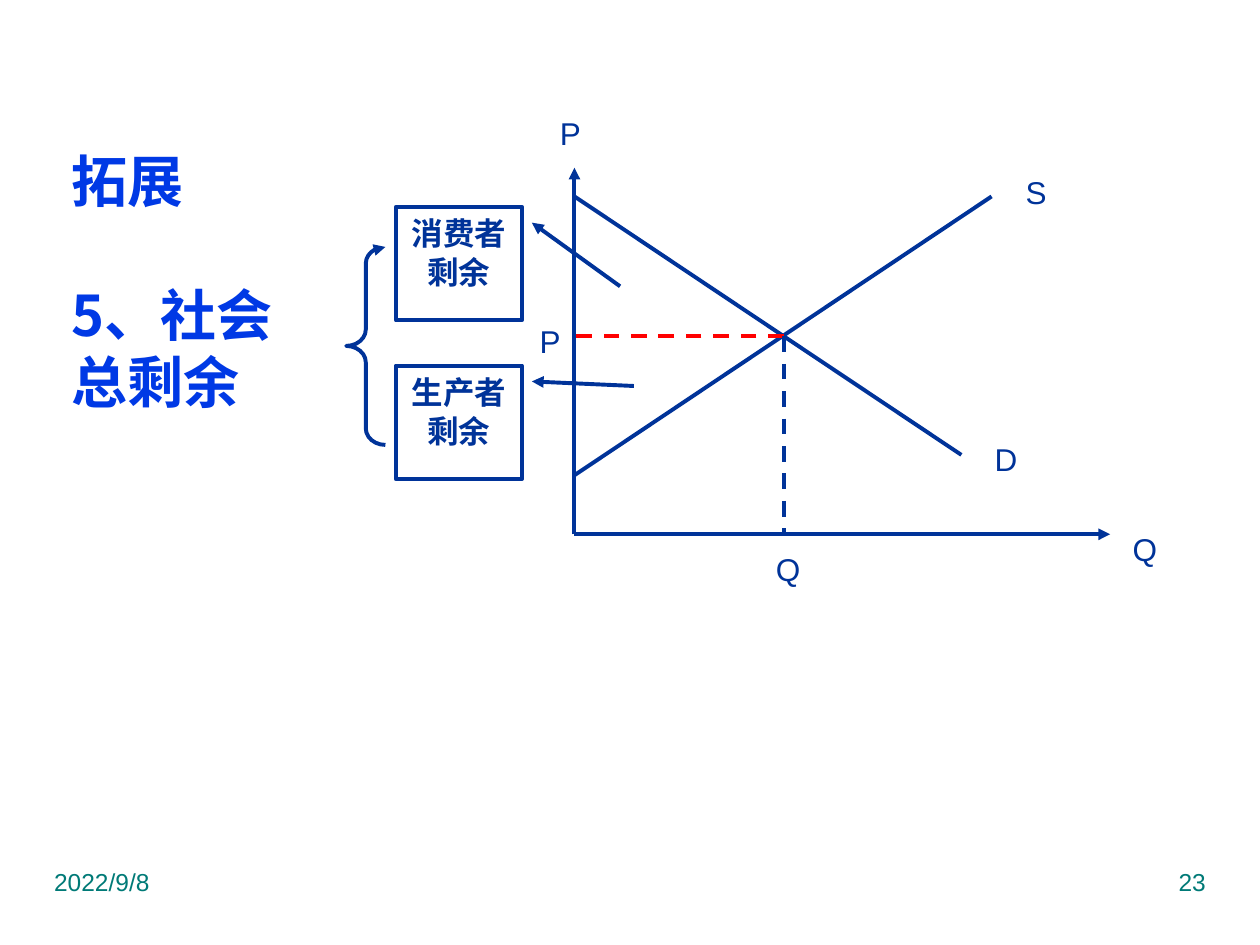
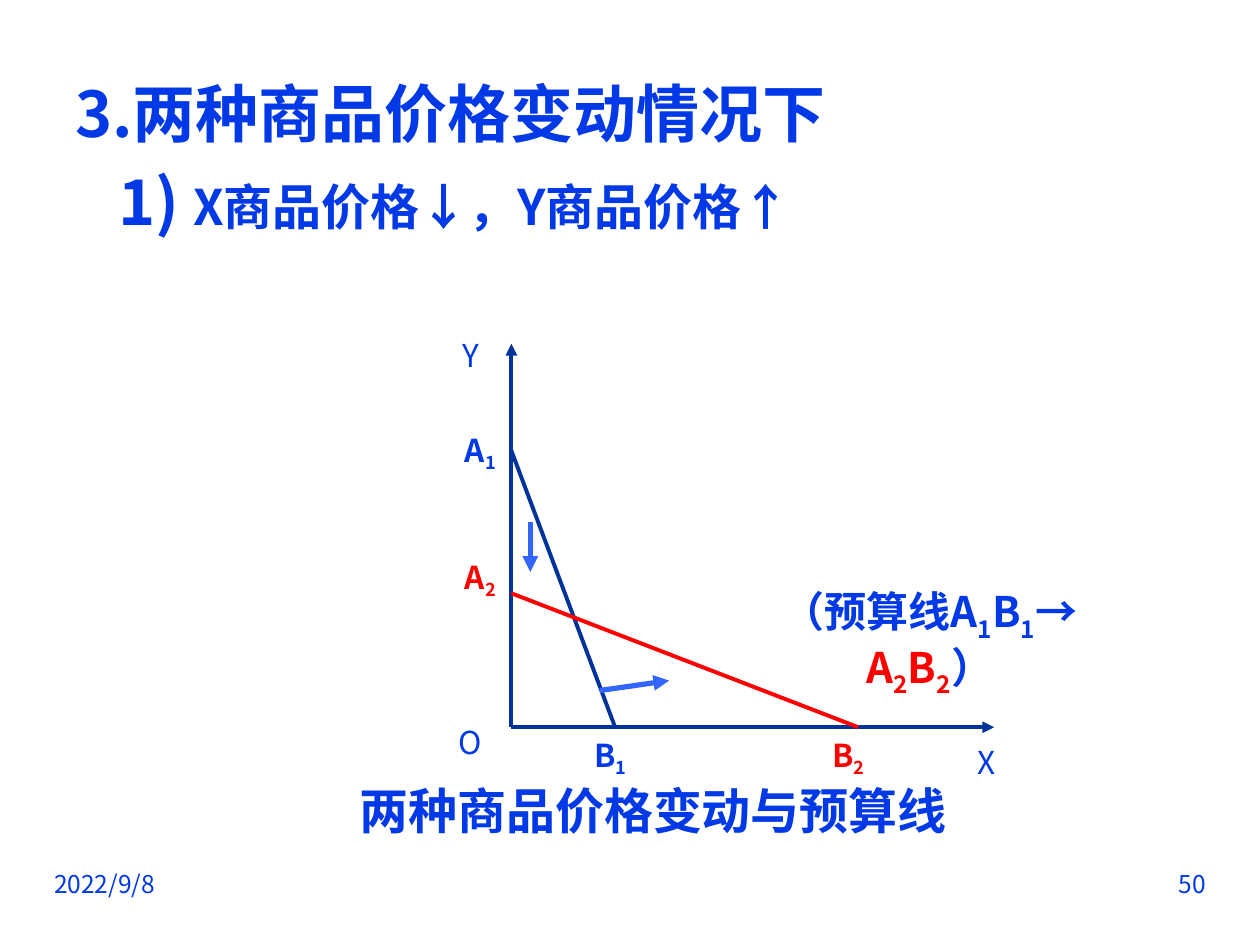
import dataclasses

import lxml.etree
import pptx
import pptx.dml.color
import pptx.enum.dml
import pptx.enum.shapes
import pptx.enum.text
import pptx.oxml.ns
import pptx.util

Cm = pptx.util.Cm
Pt = pptx.util.Pt
Align = pptx.enum.text.PP_ALIGN
Anchor = pptx.enum.text.MSO_ANCHOR
Shapes = pptx.enum.shapes.MSO_SHAPE
qn = pptx.oxml.ns.qn


@dataclasses.dataclass(frozen=True)
class Theme:
    navy = pptx.dml.color.RGBColor.from_string("003399")
    blue = pptx.dml.color.RGBColor.from_string("0039E5")
    light_blue = pptx.dml.color.RGBColor.from_string("3366FF")
    teal = pptx.dml.color.RGBColor.from_string("007A77")
    red = pptx.dml.color.RGBColor.from_string("FF0000")
    white = pptx.dml.color.RGBColor.from_string("FFFFFF")
    latin_font = "Arial"
    chinese_font = "Noto Sans CJK SC"
    heading = 36
    title = 32
    caption = 28
    note = 24
    label = 18
    footer = 14
    line = 2.25
    move_arrow = 3


theme = Theme()


def write_text(shape, paragraphs, size, color, font=theme.chinese_font, bold=False,
               align=Align.LEFT, anchor=Anchor.TOP, wrap=True, leading=1.28):
    """Each paragraph is a string or a list of (text, size, color, is_subscript)."""
    frame = shape.text_frame
    frame.word_wrap = wrap
    frame.vertical_anchor = anchor
    for index, pieces in enumerate(paragraphs):
        paragraph = frame.paragraphs[0] if index == 0 else frame.add_paragraph()
        paragraph.alignment = align
        if font == theme.chinese_font:
            paragraph.line_spacing = Pt(leading * size)
        if isinstance(pieces, str):
            paragraph.text = pieces
            pieces = [(pieces, size, color, False)] * len(paragraph.runs)
        else:
            for piece in pieces:
                paragraph.add_run().text = piece[0]
        for run, (_, run_size, run_color, subscript) in zip(paragraph.runs, pieces):
            run.font.size = Pt(run_size)
            run.font.bold = bold
            run.font.color.rgb = run_color
            run.font.name = font
            properties = run.font._element
            lxml.etree.SubElement(properties, qn("a:ea")).set("typeface", font)
            if subscript:
                properties.set("baseline", "-25000")
    return shape


def add_line(slide, start, end, color=theme.navy, width=theme.line, arrow=False, dashed=False):
    connector = slide.shapes.add_connector(
        pptx.enum.shapes.MSO_CONNECTOR.STRAIGHT, *(Cm(value) for value in (*start, *end)))
    connector.line.color.rgb = color
    connector.line.width = Pt(width)
    if dashed:
        connector.line.dash_style = pptx.enum.dml.MSO_LINE.DASH
    if arrow:
        tail = lxml.etree.SubElement(connector.line._get_or_add_ln(), qn("a:tailEnd"))
        tail.set("type", "triangle")
    lxml.etree.SubElement(connector._element.spPr, qn("a:effectLst"))


presentation = pptx.Presentation()
presentation.slide_width = Cm(25.4)
presentation.slide_height = Cm(19.05)

# Both slides: date and page number
slides = []
for page, color, font in (("23", theme.teal, theme.latin_font),
                          ("50", theme.blue, theme.chinese_font)):
    slide = presentation.slides.add_slide(presentation.slide_layouts[6])
    slides.append(slide)
    for left, text, align in ((0.84, "2022/9/8", Align.LEFT), (18.21, page, Align.RIGHT)):
        box = slide.shapes.add_textbox(Cm(left), Cm(17.35), Cm(6.35), Cm(1.32))
        write_text(box, [text], theme.footer, color, font, align=align)
surplus_slide, budget_slide = slides

# Slide 1: title
box = surplus_slide.shapes.add_textbox(Cm(1.19), Cm(2.86), Cm(5.41), Cm(5.59))
write_text(box, ["拓展", "5、社会\v总剩余"], theme.title, theme.blue, bold=True,
           anchor=Anchor.MIDDLE, leading=1.2)
box.text_frame.paragraphs[1].space_before = Pt(1.2 * theme.title)

# Slide 1: axes, demand, supply and equilibrium
origin = (11.58, 10.77)
equilibrium = (15.8, 6.78)
add_line(surplus_slide, origin, (22.38, origin[1]), arrow=True)
add_line(surplus_slide, origin, (origin[0], 3.38), arrow=True)
add_line(surplus_slide, (origin[0], 3.96), (19.38, 9.17))
add_line(surplus_slide, (origin[0], 9.58), (19.99, 3.96))
add_line(surplus_slide, equilibrium, (origin[0], equilibrium[1]), theme.red, dashed=True)
add_line(surplus_slide, equilibrium, (equilibrium[0], origin[1]), dashed=True)

for text, left, top in (("D", 19.58, 8.76), ("S", 20.19, 3.38), ("P", 10.39, 6.38),
                        ("P", 10.8, 2.18), ("Q", 22.38, 10.57), ("Q", 15.19, 10.97)):
    box = surplus_slide.shapes.add_textbox(Cm(left), Cm(top), Cm(1.4), Cm(0.99))
    write_text(box, [text], theme.label, theme.navy, theme.latin_font,
               align=Align.CENTER, anchor=Anchor.MIDDLE, wrap=False)

# Slide 1: surplus callouts and the brace that joins them
outlines = []
for text, top, pointer_end in (("消费者剩余", 4.17, (0.7, 1.78)),
                               ("生产者剩余", 7.37, (0.18, 1.89))):
    callout = surplus_slide.shapes.add_shape(
        Shapes.LINE_CALLOUT_1, Cm(7.98), Cm(top), Cm(2.54), Cm(2.29))
    for index, value in enumerate((0.14, 1.08, *pointer_end)):
        callout.adjustments[index] = value
    callout.fill.solid()
    callout.fill.fore_color.rgb = theme.white
    write_text(callout, [text], theme.label, theme.navy, bold=True,
               align=Align.CENTER, leading=1.24)
    outlines.append((callout, "a:headEnd"))

brace = surplus_slide.shapes.add_shape(
    Shapes.LEFT_BRACE, Cm(6.98), Cm(4.98), Cm(0.79), Cm(3.99))
brace.adjustments[0] = 0.42
brace.adjustments[1] = 0.5
brace.fill.background()
outlines.append((brace, "a:tailEnd"))

for shape, arrow_end in outlines:
    shape.shadow.inherit = False
    shape.line.color.rgb = theme.navy
    shape.line.width = Pt(theme.line)
    arrowhead = lxml.etree.SubElement(shape.line._get_or_add_ln(), qn(arrow_end))
    arrowhead.set("type", "triangle")

# Slide 2: heading
box = budget_slide.shapes.add_textbox(Cm(1.27), Cm(1.27), Cm(23.29), Cm(5.26))
write_text(box, ["3.两种商品价格变动情况下",
                 [("1) ", theme.heading, theme.blue, False),
                  ("X商品价格↓，Y商品价格↑", theme.caption, theme.blue, False)]],
           theme.heading, theme.blue, bold=True)
subheading = box.text_frame.paragraphs[1]
subheading.space_before = Pt(0.12 * theme.heading)
subheading._p.get_or_add_pPr().set("marL", str(Cm(0.86)))

# Slide 2: axes and budget lines
origin = (10.31, 14.66)
add_line(budget_slide, origin, (20.04, origin[1]), arrow=True)
add_line(budget_slide, origin, (origin[0], 6.93), arrow=True)
add_line(budget_slide, (origin[0], 9.09), (12.4, origin[1]))
add_line(budget_slide, (origin[0], 11.96), (17.3, origin[1]), theme.red)

# Slide 2: arrows showing how the line moves
for start, end in (((12.09, 13.92), (13.49, 13.72)), ((10.69, 10.52), (10.69, 11.53))):
    add_line(budget_slide, start, end, theme.light_blue, theme.move_arrow, arrow=True)

# Slide 2: axis and point labels
for letter, digit, left, top, color in (
        ("Y", "", 8.89, 6.53, theme.blue), ("X", "", 19.3, 14.73, theme.blue),
        ("O", "", 8.89, 14.33, theme.blue), ("A", "1", 9.09, 8.53, theme.blue),
        ("A", "2", 9.09, 11.09, theme.red), ("B", "1", 11.71, 14.68, theme.blue),
        ("B", "2", 16.51, 14.68, theme.red)):
    box = budget_slide.shapes.add_textbox(Cm(left), Cm(top), Cm(1.19), Cm(1.27))
    pieces = [(letter, theme.label, color, False)]
    if digit:
        pieces.append((digit, theme.label, color, True))
    write_text(box, [pieces], theme.label, color, bold=bool(digit),
               align=Align.CENTER, anchor=Anchor.MIDDLE, wrap=False, leading=1.2)

# Slide 2: caption and note
box = budget_slide.shapes.add_textbox(Cm(1.52), Cm(15.32), Cm(23.29), Cm(2.06))
write_text(box, ["两种商品价格变动与预算线"], theme.caption, theme.blue, bold=True,
           align=Align.CENTER, leading=1.5)

note = [(text, theme.note, color, text.isdigit())
        for text, color in (("（预算线A", theme.blue), ("1", theme.blue), ("B", theme.blue),
                            ("1", theme.blue), ("→ ", theme.blue), ("A", theme.red),
                            ("2", theme.red), ("B", theme.red), ("2", theme.red),
                            ("）", theme.blue))]
box = budget_slide.shapes.add_textbox(Cm(14.48), Cm(11.71), Cm(8.53), Cm(1.3))
write_text(box, [note], theme.note, theme.blue, bold=True, align=Align.CENTER, leading=1.33)
box.text_frame.auto_size = pptx.enum.text.MSO_AUTO_SIZE.SHAPE_TO_FIT_TEXT

presentation.save("out.pptx")
